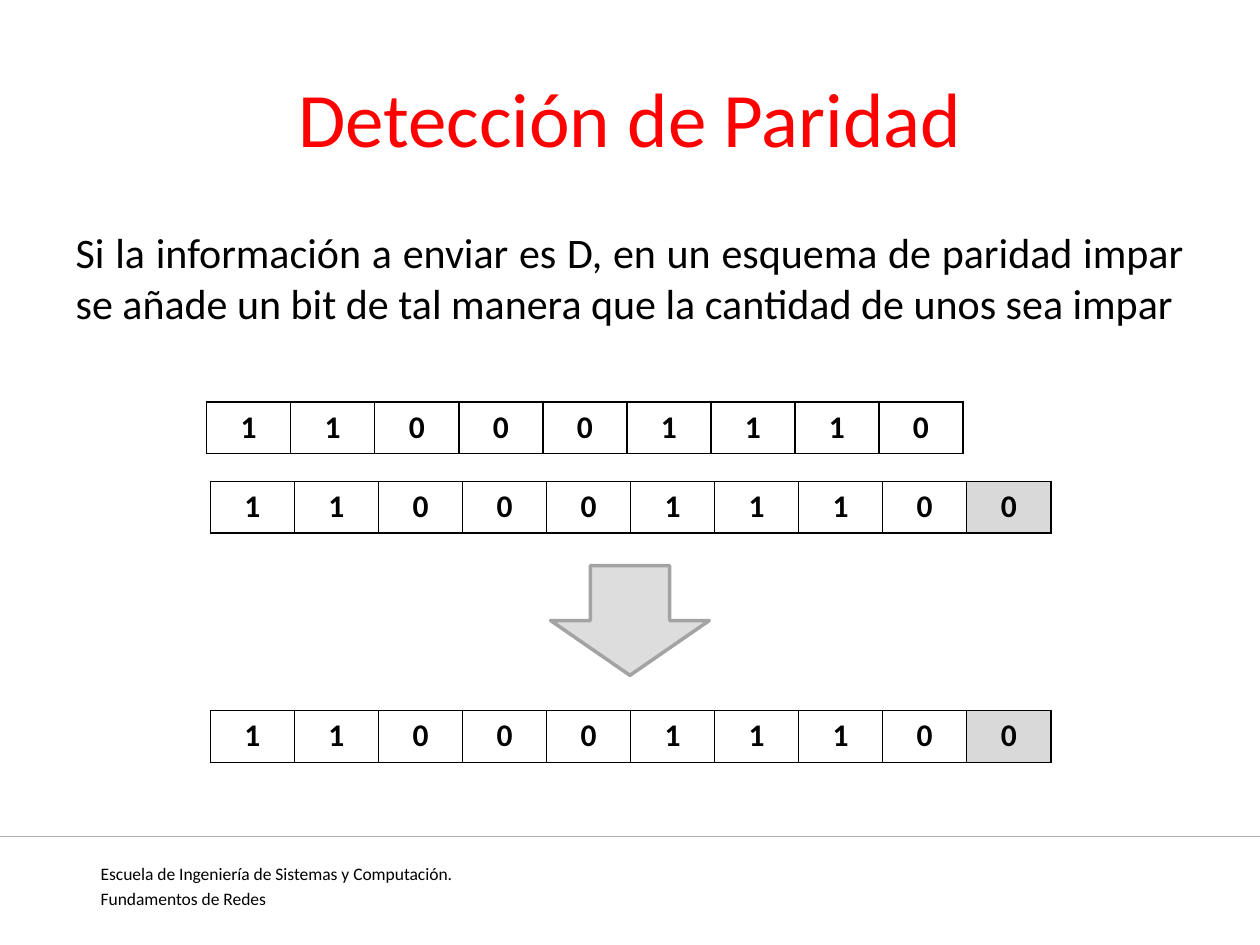
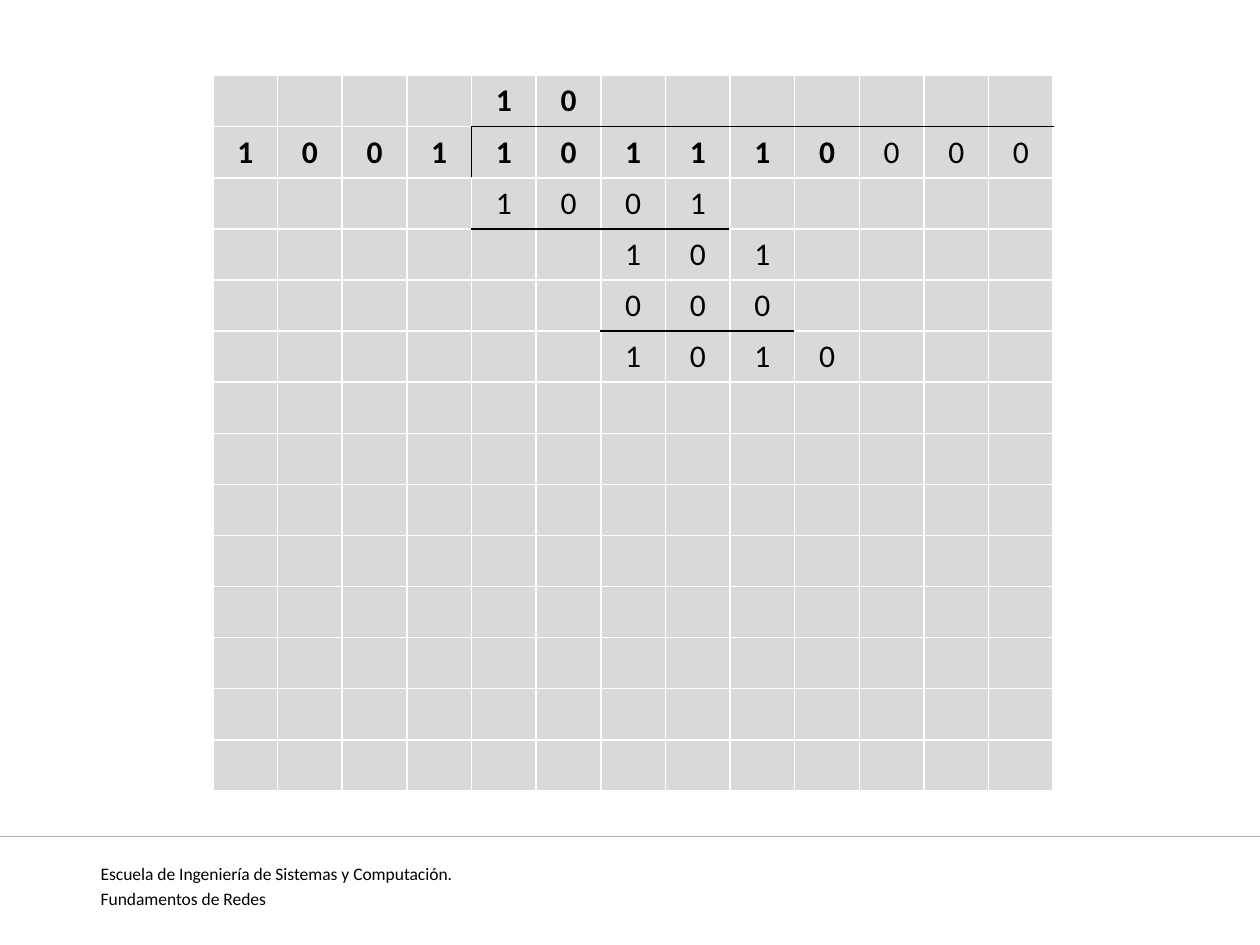
from lxml.etree import SubElement
from pptx import Presentation
from pptx.dml.color import RGBColor
from pptx.enum.shapes import MSO_CONNECTOR, MSO_SHAPE
from pptx.enum.text import MSO_ANCHOR, PP_ALIGN
from pptx.oxml.ns import qn
from pptx.util import Inches, Pt

COLORS = {
    "title": "FF0000",
    "text": "000000",
    "ink": "000000",
    "paper": "FFFFFF",
    "cell": "D9D9D9",
    "rule": "AEAEAE",
    "arrow": "DDDDDD",
    "arrow_edge": "A3A3A3",
}
FONT = "Calibri"
FOOTER = ["Escuela de Ingeniería de Sistemas y Computación.", "Fundamentos de Redes"]
TABLE_W, ROW_H = 6.67, 0.41

DATA_BITS = "110001110"
PARITY_BIT = "0"

# Long division: each row is (first column, digits)
DIVISION_COLS, DIVISION_ROWS = 13, 14
DIGITS = [(4, "10"), (0, "1001101110000"), (4, "1001"), (6, "101"), (6, "000"), (6, "1010")]
BOLD_ROWS, BOLD_COLS = 2, 10
# Black lines: row boundary -> columns it spans
LINES = {1: range(4, 13), 3: range(4, 8), 5: range(6, 9)}
DIVISOR_ROW, DIVISOR_EDGE = 1, 4


def rgb(name):
    return RGBColor.from_string(COLORS[name])


def place(sp, box):
    sp.left, sp.top, sp.width, sp.height = (Inches(v) for v in box)


def add_run(p, text, size, color="text", bold=False):
    r = p.add_run()
    r.text = text
    r.font.name, r.font.size, r.font.bold = FONT, Pt(size), bold
    r.font.color.rgb = rgb(color)


def set_borders(cell, left, right, top, bottom):
    tcPr = cell._tc.get_or_add_tcPr()
    for side, color in zip("LRTB", (left, right, top, bottom)):
        ln = SubElement(tcPr, qn(f"a:ln{side}"), w=str(Pt(1)))
        fill = SubElement(ln, qn("a:solidFill"))
        SubElement(fill, qn("a:srgbClr"), val=COLORS[color])


def add_grid(s, box, rows, cols):
    """Add an unstyled table with equal columns and rows."""
    x, y, w, h = (Inches(v) for v in box)
    table = s.shapes.add_table(rows, cols, x, y, w, h).table
    table.first_row = table.horz_banding = False
    for col in table.columns:
        col.width = int(w / cols)
    for row in table.rows:
        row.height = int(h / rows)
    return table


def write_digit(cell, digit, bold):
    p = cell.text_frame.paragraphs[0]
    p.alignment = PP_ALIGN.CENTER
    add_run(p, digit, 18, bold=bold)


def fill_cell(cell, color):
    cell.fill.solid()
    cell.fill.fore_color.rgb = rgb(color)


def add_footer(s, box):
    x, y, w, h = box
    # Rule across the slide
    line = s.shapes.add_connector(
        MSO_CONNECTOR.STRAIGHT, 0, Inches(y - 0.16), Inches(10), Inches(y - 0.16))
    line.line.color.rgb = rgb("rule")
    line.line.width = Pt(0.75)
    SubElement(line._element.spPr, qn("a:effectLst"))
    # Course name
    tf = s.shapes.add_textbox(Inches(x), Inches(y), Inches(w), Inches(h)).text_frame
    tf.word_wrap = True
    for i, text in enumerate(FOOTER):
        p = tf.add_paragraph() if i else tf.paragraphs[0]
        p.alignment = PP_ALIGN.JUSTIFY
        p.space_before = Pt(2 if i else 0)
        add_run(p, text, 10)


def add_title(s, box, text):
    sp = s.shapes.title
    place(sp, box)
    sp.text_frame.vertical_anchor = MSO_ANCHOR.MIDDLE
    p = sp.text_frame.paragraphs[0]
    p.alignment = PP_ALIGN.CENTER
    add_run(p, text, 44, "title")


def add_body(s, box, text):
    sp = s.placeholders[1]
    place(sp, box)
    p = sp.text_frame.paragraphs[0]
    pPr = p._p.get_or_add_pPr()
    pPr.set("marL", "0")
    pPr.set("indent", "0")
    SubElement(pPr, qn("a:buNone"))
    p.alignment = PP_ALIGN.JUSTIFY
    p.space_before = Pt(0)
    add_run(p, text, 24)


def add_bits(s, x, y, parity=""):
    """Row of data bits, with a last cell for the parity bit."""
    last = len(DATA_BITS)
    table = add_grid(s, (x, y, TABLE_W, ROW_H), 1, last + 1)
    for c, bit in enumerate(DATA_BITS + parity):
        cell = table.cell(0, c)
        write_digit(cell, bit, True)
        set_borders(cell, *["ink"] * 4)
        if c < last:
            cell.fill.background()
        else:
            fill_cell(cell, "cell")
    if not parity:
        cell = table.cell(0, last)
        set_borders(cell, "ink", *["paper"] * 3)
        cell.fill.background()


def add_arrow(s, box):
    sp = s.shapes.add_shape(MSO_SHAPE.DOWN_ARROW, *(Inches(v) for v in box))
    sp.shadow.inherit = False
    sp.fill.solid()
    sp.fill.fore_color.rgb = rgb("arrow")
    sp.line.color.rgb = rgb("arrow_edge")
    sp.line.width = Pt(2)


def add_division(s, box):
    table = add_grid(s, box, DIVISION_ROWS, DIVISION_COLS)

    def across(boundary, c):
        return "ink" if c in LINES.get(boundary, ()) else "paper"

    def down(r, boundary):
        return "ink" if (r, boundary) == (DIVISOR_ROW, DIVISOR_EDGE) else "paper"

    for r in range(DIVISION_ROWS):
        for c in range(DIVISION_COLS):
            cell = table.cell(r, c)
            set_borders(cell, down(r, c), down(r, c + 1), across(r, c), across(r + 1, c))
            fill_cell(cell, "cell")
    for r, (start, digits) in enumerate(DIGITS):
        for c, digit in enumerate(digits, start):
            write_digit(table.cell(r, c), digit, r < BOLD_ROWS and c < BOLD_COLS)


def add_slide(prs, layout):
    s = prs.slides.add_slide(prs.slide_layouts[layout])
    add_footer(s, (0.7, 6.8, 8.98, 0.39))
    return s


def parity_slide(prs):
    s = add_slide(prs, 1)
    add_title(s, (0.5, 0.3, 9, 1.25), "Detección de Paridad")
    add_body(s, (0.5, 1.75, 9, 4.95),
             "Si la información a enviar es D, en un esquema de paridad impar "
             "se añade un bit de tal manera que la cantidad de unos sea impar")
    add_bits(s, 1.64, 3.19)
    add_bits(s, 1.67, 3.82, PARITY_BIT)
    add_arrow(s, (4.37, 4.49, 1.26, 0.87))
    add_bits(s, 1.67, 5.64, PARITY_BIT)


def division_slide(prs):
    s = add_slide(prs, 6)
    add_division(s, (1.69, 0.6, TABLE_W, 5.68))


def main():
    prs = Presentation()
    prs.slide_width, prs.slide_height = Inches(10), Inches(7.5)
    parity_slide(prs)
    division_slide(prs)
    prs.save("out.pptx")


if __name__ == "__main__":
    main()
